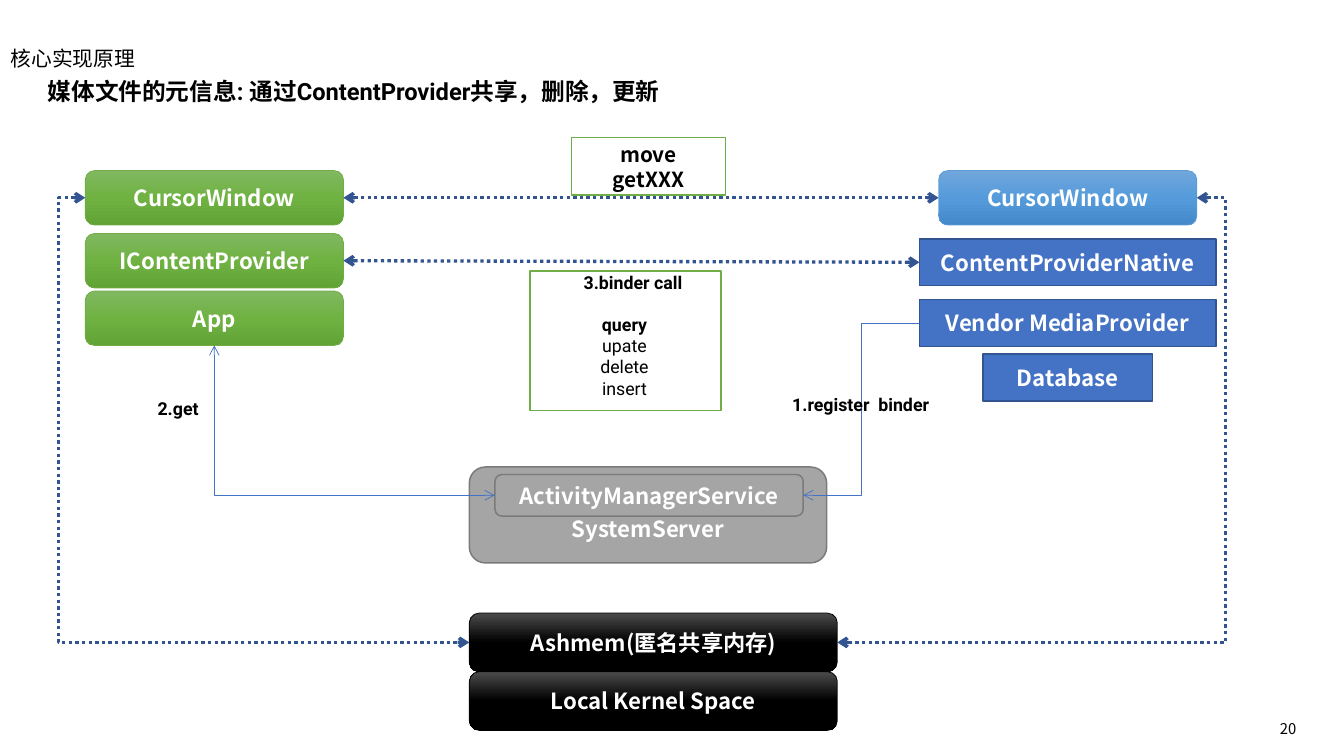
import lxml.etree
import pptx
import pptx.dml.color
import pptx.enum.dml
import pptx.enum.shapes
import pptx.enum.text
import pptx.oxml.ns
import pptx.util

Inches = pptx.util.Inches
qn = pptx.oxml.ns.qn
SHAPE = pptx.enum.shapes.MSO_SHAPE
LINK = pptx.enum.shapes.MSO_CONNECTOR
ALIGN = pptx.enum.text.PP_ALIGN
ANCHOR = pptx.enum.text.MSO_ANCHOR

SANS = "Noto Sans CJK SC"
LATIN = "Roboto"
GREEN = ("81B861", "6FB242", "62A336")
SKY = ("71A6DB", "559BDB", "448ACA")
BLACK = ("4B4B4B", "000000", "000000")
TOP, LEFT, BOTTOM, RIGHT = range(4)


def colour(value):
    return pptx.dml.color.RGBColor.from_string(value)


def add_text(frame, text, size=15, font=SANS, ink="000000", bold=True,
             align=ALIGN.CENTER, anchor=ANCHOR.TOP, spacing=None, bold_lines=None):
    frame.word_wrap = True
    frame.vertical_anchor = anchor
    for index, words in enumerate(text.split("\n")):
        para = frame.paragraphs[0] if index == 0 else frame.add_paragraph()
        para.alignment = align
        if spacing:
            para.line_spacing = spacing
        span = para.add_run()
        span.text = words
        span.font.size = pptx.util.Pt(size)
        span.font.name = font
        span.font.bold = bold if bold_lines is None else index < bold_lines
        span.font.color.rgb = colour(ink)
        properties = span.font._element
        east_asian = lxml.etree.SubElement(properties, qn("a:ea"))
        east_asian.set("typeface", SANS)


def add_label(page, text, left, top, width, height, **style):
    box = page.shapes.add_textbox(Inches(left), Inches(top), Inches(width), Inches(height))
    add_text(box.text_frame, text, **style)
    return box


def fill_gradient(box, colours):
    box.fill.gradient()
    box.fill.gradient_angle = 270
    stops = box._element.spPr.find(".//" + qn("a:gsLst"))
    for stop in list(stops):
        stops.remove(stop)
    for position, value in zip((0, 50000, 100000), colours):
        stop = lxml.etree.SubElement(stops, qn("a:gs"), pos=str(position))
        lxml.etree.SubElement(stop, qn("a:srgbClr"), val=value)


def add_block(page, text, left, top, width, height, fill, line,
              weight=1, kind=SHAPE.RECTANGLE, ink="FFFFFF", size=15):
    box = page.shapes.add_shape(kind, Inches(left), Inches(top), Inches(width), Inches(height))
    box.shadow.inherit = False
    if isinstance(fill, tuple):
        fill_gradient(box, fill)
    else:
        box.fill.solid()
        box.fill.fore_color.rgb = colour(fill)
    box.line.color.rgb = colour(line)
    box.line.width = pptx.util.Pt(weight)
    if text:
        add_text(box.text_frame, text, ink=ink, size=size, anchor=ANCHOR.MIDDLE)
    return box


def add_rounded(page, text, left, top, width, height, fill, line, weight=0.5):
    return add_block(page, text, left, top, width, height, fill, line, weight,
                     SHAPE.ROUNDED_RECTANGLE)


def join(page, start, start_side, end, end_side, kind=LINK.ELBOW, dotted=False,
         heads=("headEnd", "tailEnd"), preset=None, bend=None):
    link = page.shapes.add_connector(kind, 0, 0, 0, 0)
    link.begin_connect(start, start_side)
    link.end_connect(end, end_side)
    link.line.color.rgb = colour("325491" if dotted else "4472C4")
    link.line.width = pptx.util.Pt(2.25 if dotted else 0.5)
    if dotted:
        link.line.dash_style = pptx.enum.dml.MSO_LINE.ROUND_DOT
    properties = link._element.spPr
    geometry = properties.find(qn("a:prstGeom"))
    if preset:
        geometry.set("prst", preset)
    if bend is not None:
        guides = geometry.find(qn("a:avLst"))
        lxml.etree.SubElement(guides, qn("a:gd"), name="adj1", fmla=f"val {round(bend * 100000)}")
    outline = properties.find(qn("a:ln"))
    for head in heads:
        lxml.etree.SubElement(outline, qn("a:" + head), type="arrow")
    lxml.etree.SubElement(properties, qn("a:effectLst"))


def build_heading(page, left, top):
    title = page.shapes.title
    title.left, title.top = Inches(left), Inches(top)
    title.width, title.height = Inches(5.95), Inches(0.29)
    add_text(title.text_frame, "核心实现原理", size=14, bold=False,
             align=ALIGN.LEFT, anchor=ANCHOR.MIDDLE, spacing=1.2)
    add_label(page, "媒体文件的元信息: 通过ContentProvider共享，删除，更新",
              left + 0.35, top + 0.29, 9.92, 0.37, size=16, font=LATIN, align=ALIGN.LEFT)


def build_client(page, left, top, width):
    rows = (("CursorWindow", 0), ("IContentProvider", 0.59), ("App", 1.13))
    return [add_rounded(page, text, left, top + offset, width, 0.51, GREEN, "70AD47")
            for text, offset in rows]


def build_provider(page, left, top, width):
    cursor = add_rounded(page, "CursorWindow", left + 0.18, top, 2.42, 0.51, SKY, "5B9BD5")
    rows = (("ContentProviderNative", 0.64, width), ("Vendor MediaProvider", 1.21, width),
            ("Database", 1.72, 1.59))
    native, media, database = [
        add_block(page, text, left + (width - span) / 2, top + offset, span, 0.44,
                  "4472C4", "325491")
        for text, offset, span in rows]
    return cursor, native, media


def build_calls(page, left, top, width, height):
    add_block(page, "", left, top, width, height, "FFFFFF", "70AD47")
    add_label(page, "3.binder call", left + 0.29, top - 0.04, 1.35, 0.3, size=12, font=LATIN)
    add_label(page, "query\nupate\ndelete\ninsert", left + 0.53, top + 0.35, 0.71, 0.91,
              size=12, font=LATIN, bold_lines=1)


def build_system(page, left, top, width, height):
    server = add_rounded(page, "SystemServer", left, top, width, height, "A5A5A5", "7A7A7A", 1)
    server.text_frame.margin_top = Inches(0.3)
    return add_rounded(page, "ActivityManagerService", left + 0.24, top + 0.07, 2.89, 0.39,
                       "A5A5A5", "7A7A7A", 1)


def build_kernel(page, left, top, width, row_height):
    rows = ("Ashmem(匿名共享内存)", "Local Kernel Space")
    blocks = [add_rounded(page, text, left, top + index * row_height, width, row_height,
                          BLACK, "000000") for index, text in enumerate(rows)]
    return blocks[0]


def main():
    deck = pptx.Presentation()
    deck.slide_width, deck.slide_height = Inches(12.6), Inches(7.09)
    page = deck.slides.add_slide(deck.slide_layouts[5])
    build_heading(page, 0, 0.38)
    client_cursor, client_provider, app = build_client(page, 0.8, 1.6, 2.42)
    server_cursor, native, media = build_provider(page, 8.62, 1.6, 2.78)
    build_calls(page, 4.97, 2.54, 1.79, 1.31)
    manager = build_system(page, 4.4, 4.38, 3.35, 0.9)
    ashmem = build_kernel(page, 4.4, 5.75, 3.45, 0.55)

    for start, end in ((client_cursor, server_cursor), (client_provider, native)):
        join(page, start, RIGHT, end, LEFT, kind=LINK.STRAIGHT, dotted=True)
    join(page, client_cursor, LEFT, ashmem, LEFT, dotted=True, bend=-0.07)
    join(page, server_cursor, RIGHT, ashmem, RIGHT, dotted=True, bend=-0.08)
    join(page, media, LEFT, manager, RIGHT, heads=("tailEnd",))
    join(page, manager, LEFT, app, BOTTOM, preset="bentConnector2")

    add_block(page, "move\ngetXXX", 5.36, 1.29, 1.44, 0.54, "FFFFFF", "70AD47",
              ink="000000", size=14)
    add_label(page, "1.register  binder", 7.26, 3.64, 1.62, 0.3, size=12, font=LATIN)
    add_label(page, "2.get", 1.33, 3.68, 0.68, 0.3, size=12, font=LATIN)
    add_label(page, "20", 8.9, 6.71, 3.35, 0.24, size=10, bold=False,
              align=ALIGN.RIGHT, anchor=ANCHOR.MIDDLE)
    deck.save("out.pptx")


if __name__ == "__main__":
    main()
